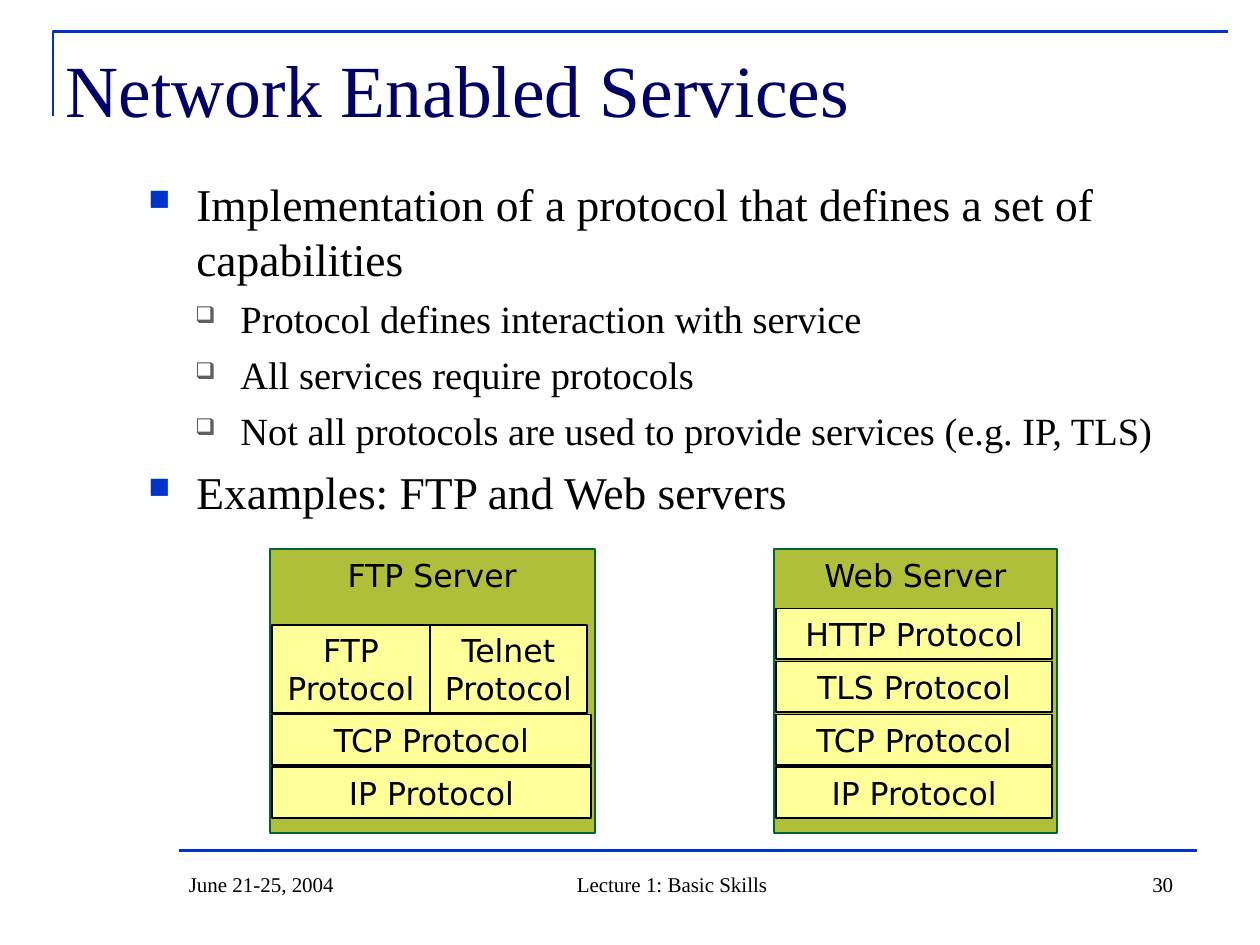
from lxml import etree
from pptx import Presentation
from pptx.dml.color import RGBColor
from pptx.enum.shapes import MSO_CONNECTOR, MSO_SHAPE
from pptx.enum.text import MSO_ANCHOR, PP_ALIGN
from pptx.oxml.ns import qn
from pptx.util import Inches, Pt

COLORS = {"rule": "0033CC", "title": "000066", "text": "000000",
          "sub_bullet": "5F5F5F", "server": "AFBF39",
          "server_line": "006633", "protocol": "FFFF99"}
SERIF, SANS = "Times New Roman", "DejaVu Sans"

TITLE = "Network Enabled Services"
BODY = [
    (0, "Implementation of a protocol that defines a set of capabilities"),
    (1, "Protocol defines interaction with service"),
    (1, "All services require protocols"),
    (1, "Not all protocols are used to provide services (e.g. IP, TLS)"),
    (0, "Examples: FTP and Web servers"),
]
LEVELS = [
    {"size": 26, "before": 6.5, "margin": 0.38, "indent": -0.38,
     "bullet": "■", "color": "rule", "percent": 65},
    {"size": 22, "before": 5.5, "margin": 0.73, "indent": -0.36,
     "bullet": "❑", "color": "sub_bullet", "percent": 60},
]
# Protocol rows run from the bottom of the stack to the top
SERVERS = [
    {"name": "Web Server", "left": 6.14, "width": 2.25, "row_width": 2.19,
     "rows": ["IP Protocol", "TCP Protocol", "TLS Protocol", "HTTP Protocol"],
     "top_pair": []},
    {"name": "FTP Server", "left": 2.14, "width": 2.58, "row_width": 2.53,
     "rows": ["IP Protocol", "TCP Protocol"],
     "top_pair": ["FTP Protocol", "Telnet Protocol"]},
]
SERVER_TOP, SERVER_HEIGHT = 4.36, 2.25
STACK_BOTTOM, ROW_HEIGHT, ROW_PITCH = 6.49, 0.4, 0.42
PAIR_WIDTH, PAIR_HEIGHT = 1.25, 0.7
FOOTER = [
    ("Lecture 1: Basic Skills", 3.75, 3.17, PP_ALIGN.CENTER),
    ("30", 7.08, 2.33, PP_ALIGN.RIGHT),
    ("June 21-25, 2004", 1.4, 2.27, PP_ALIGN.LEFT),
]


def rgb(name):
    return RGBColor.from_string(COLORS[name])


def place(shape, *box):
    for name, value in zip(("left", "top", "width", "height"), box):
        setattr(shape, name, Inches(value))


def format_text(frame, anchor=MSO_ANCHOR.TOP, wrap=True):
    values = {"margin_left": Inches(0.1), "margin_right": Inches(0.1),
              "margin_top": Inches(0.05), "margin_bottom": Inches(0.05),
              "vertical_anchor": anchor, "word_wrap": wrap}
    for name, value in values.items():
        setattr(frame, name, value)


def write(paragraph, text, size, font=SERIF, color="text", align=PP_ALIGN.LEFT):
    run = paragraph.add_run()
    run.text = text
    paragraph.alignment = align
    for name, value in {"size": Pt(size), "name": font, "bold": False}.items():
        setattr(run.font, name, value)
    run.font.color.rgb = rgb(color)


def add_bullet(paragraph, level):
    properties = paragraph._p.get_or_add_pPr()
    properties.set("marL", str(Inches(level["margin"])))
    properties.set("indent", str(Inches(level["indent"])))
    color = etree.SubElement(properties, qn("a:buClr"))
    etree.SubElement(color, qn("a:srgbClr"), val=COLORS[level["color"]])
    etree.SubElement(properties, qn("a:buSzPct"), val=str(level["percent"] * 1000))
    etree.SubElement(properties, qn("a:buChar"), char=level["bullet"])


def add_box(slide, text, box, fill, line="text", wrap=True):
    shape = slide.shapes.add_shape(MSO_SHAPE.RECTANGLE, *map(Inches, box))
    shape.shadow.inherit = False
    shape.fill.solid()
    shape.fill.fore_color.rgb = rgb(fill)
    shape.line.color.rgb = rgb(line)
    shape.line.width = Pt(1)
    format_text(shape.text_frame, wrap=wrap)
    write(shape.text_frame.paragraphs[0], text, 18, SANS, align=PP_ALIGN.CENTER)


def add_server(slide, server):
    left = server["left"]
    add_box(slide, server["name"], (left, SERVER_TOP, server["width"], SERVER_HEIGHT),
            "server", "server_line", wrap=False)
    left += 0.02
    for index, text in enumerate(server["rows"]):
        top = STACK_BOTTOM - ROW_HEIGHT - index * ROW_PITCH
        add_box(slide, text, (left, top, server["row_width"], ROW_HEIGHT), "protocol")
    pair_top = top - 0.01 - PAIR_HEIGHT
    for index, text in enumerate(server["top_pair"]):
        add_box(slide, text, (left + index * PAIR_WIDTH, pair_top, PAIR_WIDTH, PAIR_HEIGHT),
                "protocol")


def main():
    presentation = Presentation()
    presentation.slide_width, presentation.slide_height = Inches(10), Inches(7.5)
    slide = presentation.slides.add_slide(presentation.slide_layouts[5])

    # Rules around the title and above the footer
    builder = slide.shapes.build_freeform(Inches(0.42), Inches(0.92))
    builder.add_line_segments([(Inches(0.42), Inches(0.25)),
                               (Inches(9.75), Inches(0.25))], close=False)
    corner = builder.convert_to_shape()
    corner.shadow.inherit = False
    corner.fill.background()
    rule = slide.shapes.add_connector(MSO_CONNECTOR.STRAIGHT, Inches(1.42), Inches(6.75),
                                      Inches(9.5), Inches(6.75))
    for shape in (corner, rule):
        shape.line.color.rgb = rgb("rule")
        shape.line.width = Pt(1.5)
    etree.SubElement(rule._element.spPr, qn("a:effectLst"))

    # Title
    title = slide.shapes.title
    place(title, 0.42, 0.3, 10, 0.67)
    format_text(title.text_frame)
    write(title.text_frame.paragraphs[0], TITLE, 42, color="title")

    # Bulleted body
    body = slide.shapes.add_textbox(*map(Inches, (1.08, 1.35, 8.25, 4.92))).text_frame
    format_text(body)
    for index, (depth, text) in enumerate(BODY):
        level = LEVELS[depth]
        paragraph = body.add_paragraph() if index else body.paragraphs[0]
        paragraph.level = depth
        add_bullet(paragraph, level)
        if index:
            paragraph.space_before = Pt(level["before"])
        write(paragraph, text, level["size"])

    # Protocol stacks
    for server in SERVERS:
        add_server(slide, server)

    # Footer
    for text, left, width, align in FOOTER:
        box = slide.shapes.add_textbox(*map(Inches, (left, 6.83, width, 0.34)))
        format_text(box.text_frame, MSO_ANCHOR.BOTTOM)
        write(box.text_frame.paragraphs[0], text, 12, align=align)

    presentation.save("out.pptx")


if __name__ == "__main__":
    main()
